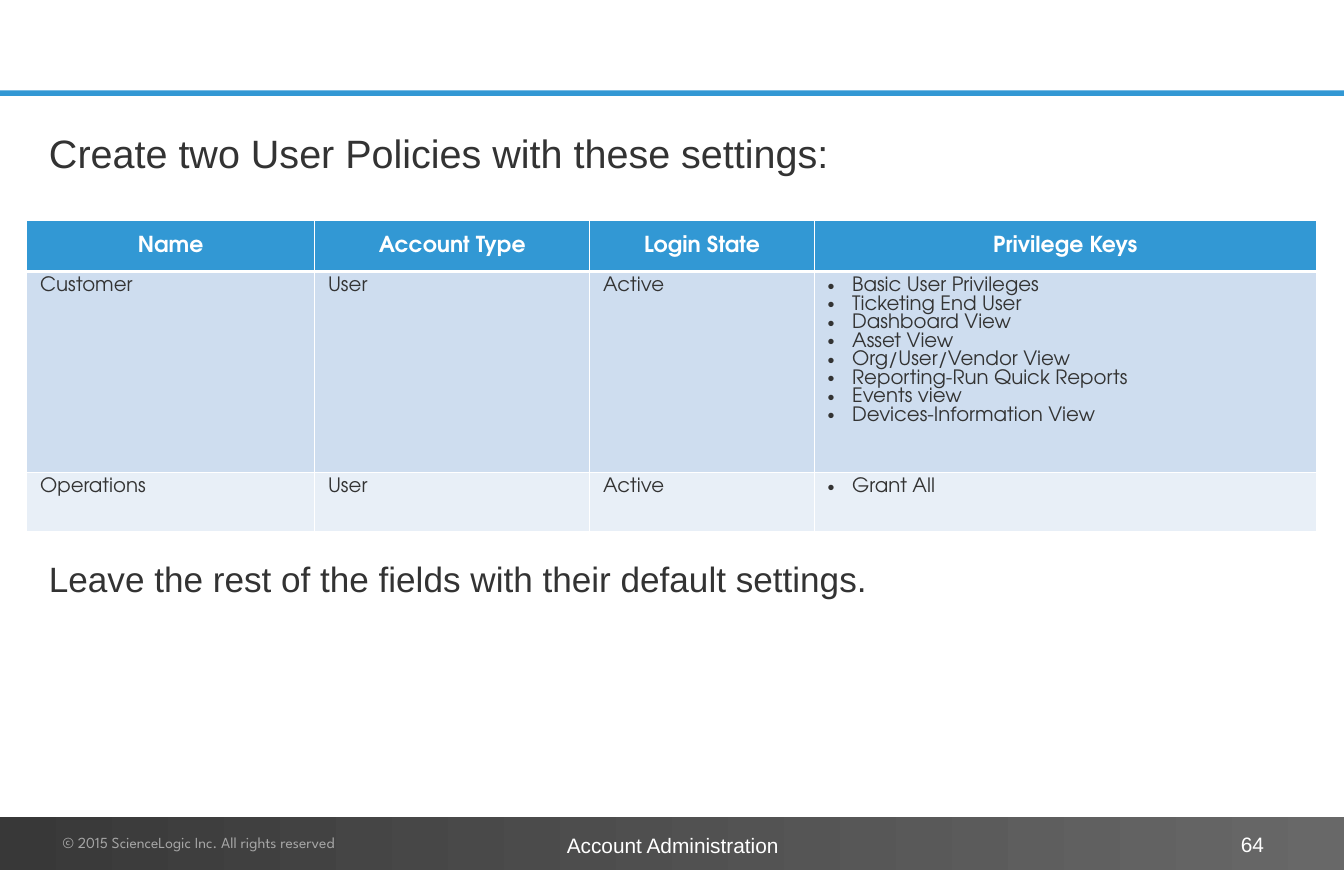
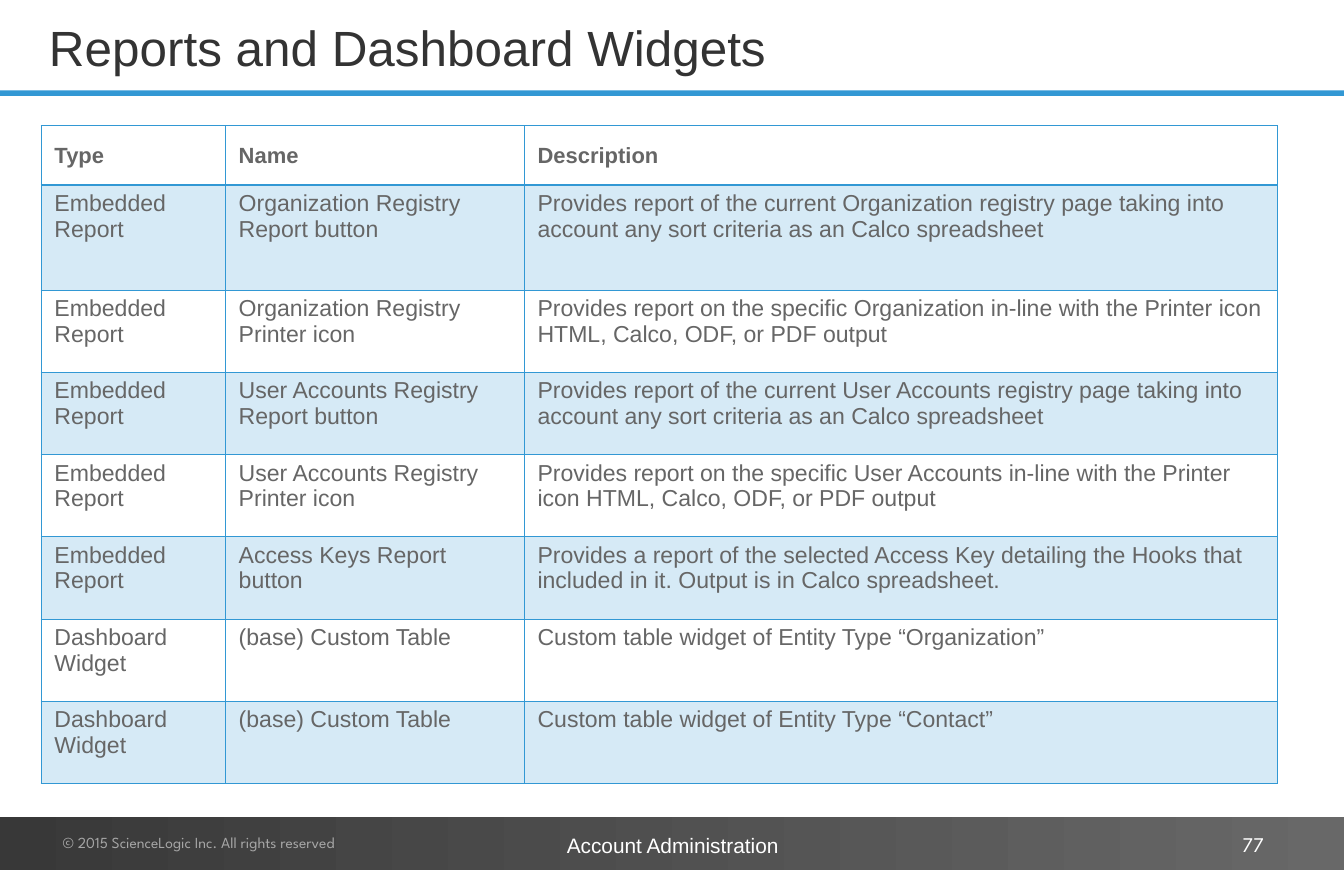
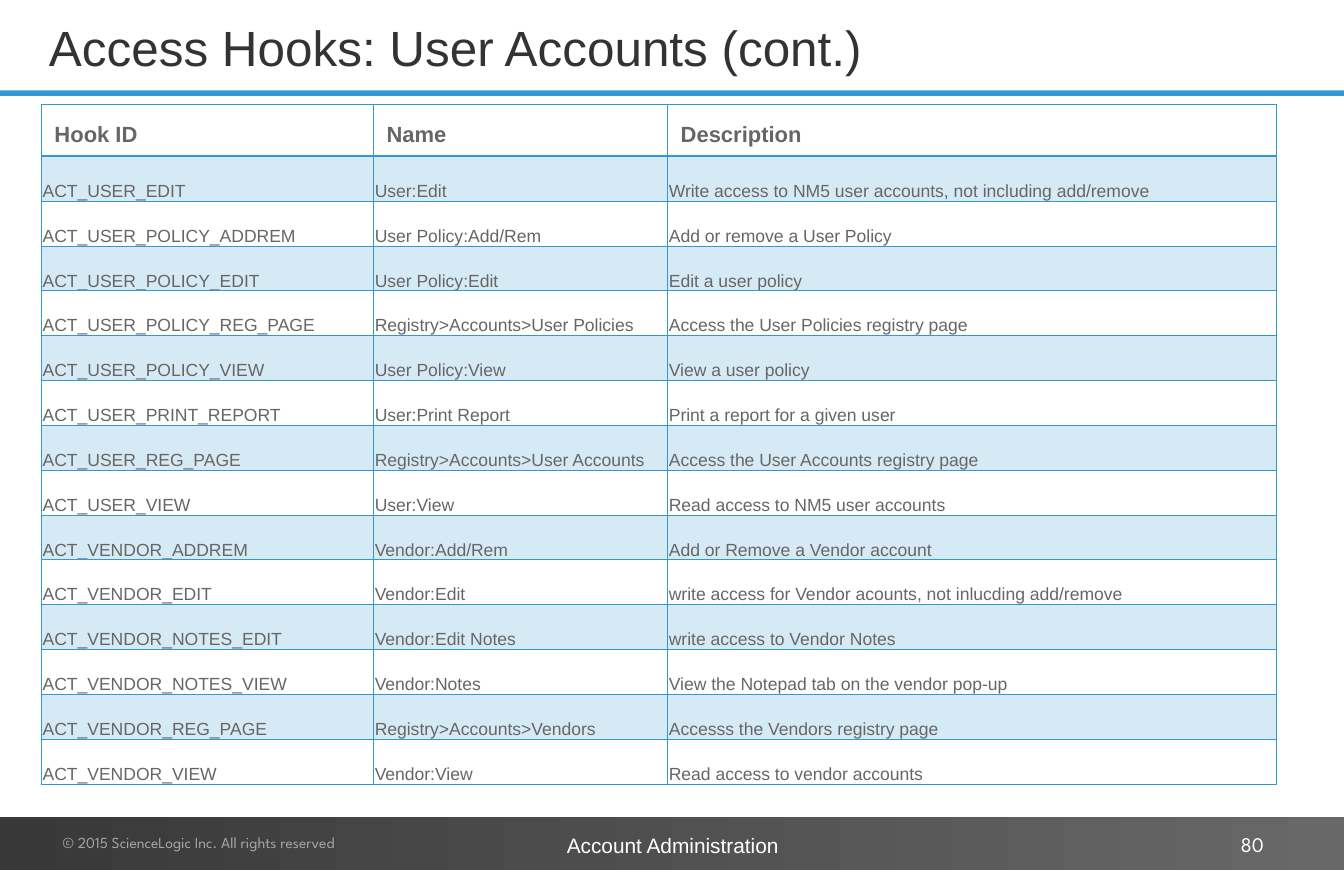
from lxml.etree import SubElement
from pptx import Presentation
from pptx.dml.color import RGBColor
from pptx.enum.shapes import MSO_SHAPE
from pptx.enum.text import MSO_ANCHOR, PP_ALIGN
from pptx.oxml import parse_xml
from pptx.oxml.ns import nsdecls, qn
from pptx.util import Cm, Pt

BLUE = RGBColor(0x32, 0x98, 0xD4)
DARK = RGBColor(0x33, 0x33, 0x33)
GRAY = RGBColor(0x66, 0x66, 0x66)
LIGHT_GRAY = RGBColor(0xA6, 0xA6, 0xA6)
WHITE = RGBColor(0xFF, 0xFF, 0xFF)
BAND_START = RGBColor(0x38, 0x38, 0x38)
BAND_END = RGBColor(0x68, 0x68, 0x68)
ROW_BLUE = RGBColor(0xCE, 0xDD, 0xEF)
ROW_PALE = RGBColor(0xE8, 0xEF, 0xF7)

ARIAL = "Arial"
SPARTAN = "League Spartan"
ADVENTOR = "TeX Gyre Adventor"

WIDTH, HEIGHT = Cm(43.18), Cm(27.94)
LEFT = Cm(1.32)
CELL_MARGINS = Cm(0.43), Cm(0.18), Cm(0.43), Cm(0.18)
TIGHT_MARGINS = Cm(0.05), Cm(0.05), Cm(0.05), Cm(0)
BOX_MARGINS = Cm(0.41), Cm(0.2), Cm(0.41), Cm(0.2)


def write(text_frame, text, size, font, color, bold=False, align=PP_ALIGN.LEFT,
          spacing=1.0, bullet=None, margins=None):
    """Fill a text frame; bullet is a character, or "" to switch bullets off."""
    text_frame.text = text
    text_frame.word_wrap = True
    if margins:
        (text_frame.margin_left, text_frame.margin_top,
         text_frame.margin_right, text_frame.margin_bottom) = margins
    for paragraph in text_frame.paragraphs:
        if bullet is not None:
            properties = paragraph._p.get_or_add_pPr()
            indent = Cm(0.79) if bullet else 0
            properties.set("marL", str(indent))
            properties.set("indent", str(-indent))
            if bullet:
                SubElement(properties, qn("a:buFont"), typeface=ARIAL)
                SubElement(properties, qn("a:buChar"), char=bullet)
            else:
                SubElement(properties, qn("a:buNone"))
        paragraph.alignment = align
        paragraph.line_spacing = spacing
        paragraph.space_before = Pt(0)
        for run in paragraph.runs:
            run.font.size = Pt(size)
            run.font.name = font
            run.font.bold = bold
            run.font.color.rgb = color


def add_grid(slide, left, top, widths, heights, rows, line_color, header_line,
             header_style, body_style, header_fill, row_fills, body_anchor=MSO_ANCHOR.TOP):
    """Add a table; row_fills alternate as (colour, opacity percent) or None."""
    table = slide.shapes.add_table(len(rows), len(widths), left, top,
                                   sum(widths), sum(heights)).table
    table.horz_banding = False
    for column, width in zip(table.columns, widths):
        column.width = width
    for row_index, row in enumerate(rows):
        table.rows[row_index].height = heights[row_index]
        header = row_index == 0
        fill = header_fill if header else row_fills[(row_index - 1) % len(row_fills)]
        for column_index, content in enumerate(row):
            cell = table.cell(row_index, column_index)
            style = dict(header_style if header else body_style)
            (cell.margin_left, cell.margin_top,
             cell.margin_right, cell.margin_bottom) = style.pop("cell_margins", CELL_MARGINS)
            cell.vertical_anchor = MSO_ANCHOR.TOP if header else body_anchor
            if isinstance(content, list):
                content = "\n".join(content)
                style["bullet"] = "•"
            write(cell.text_frame, content, **style)
            properties = cell._tc.get_or_add_tcPr()
            if fill:
                color, opacity = fill
                cell.fill.solid()
                cell.fill.fore_color.rgb = color
                if opacity < 100:
                    SubElement(properties.find(".//" + qn("a:srgbClr")), qn("a:alpha"),
                               val=str(opacity * 1000))
            else:
                cell.fill.background()
            for position, side in enumerate("LRTB"):
                heavy = (header and side == "B") or (row_index == 1 and side == "T")
                points = header_line if heavy else 1
                properties.insert(position, parse_xml(
                    f'<a:ln{side} {nsdecls("a")} w="{Pt(points)}"><a:solidFill>'
                    f'<a:srgbClr val="{line_color}"/></a:solidFill></a:ln{side}>'))


presentation = Presentation()
presentation.slide_width, presentation.slide_height = WIDTH, HEIGHT
content_layout, title_layout = presentation.slide_layouts[1], presentation.slide_layouts[5]

# Slides with their titles and footers
slides = []
for title, number, number_font in [
    (None, "64", ARIAL),
    ("Reports and Dashboard Widgets", "77", SPARTAN),
    ("Access Hooks: User Accounts (cont.)", "80", SPARTAN),
]:
    slide = presentation.slides.add_slide(title_layout if title else content_layout)
    slides.append(slide)
    title_shape = slide.shapes.title
    if title:
        title_shape.left, title_shape.top = LEFT, Cm(0.03)
        title_shape.width, title_shape.height = Cm(37.72), Cm(2.97)
        title_shape.text_frame.vertical_anchor = MSO_ANCHOR.MIDDLE
        write(title_shape.text_frame, title, 45, ARIAL, DARK)
    else:
        title_shape.element.getparent().remove(title_shape.element)
    section_box = slide.shapes.add_textbox(Cm(16.84), Cm(26.54), Cm(9.55), Cm(1.22))
    write(section_box.text_frame, "Account Administration", 19, ARIAL, WHITE,
          align=PP_ALIGN.CENTER, margins=BOX_MARGINS)
    number_box = slide.shapes.add_textbox(Cm(30.94), Cm(26.57), Cm(10.08), Cm(1.09))
    number_box.text_frame.vertical_anchor = MSO_ANCHOR.MIDDLE
    write(number_box.text_frame, number, 19, number_font, WHITE,
          align=PP_ALIGN.RIGHT, margins=BOX_MARGINS)

policy_slide, report_slide, hook_slide = slides

# Bands and copyright line, moved to the slide master
shapes = policy_slide.shapes
title_rule = shapes.add_shape(MSO_SHAPE.RECTANGLE, 0, Cm(2.9), WIDTH, Cm(0.18))
title_rule.fill.solid()
title_rule.fill.fore_color.rgb = BLUE
footer_band = shapes.add_shape(MSO_SHAPE.RECTANGLE, 0, Cm(26.24), WIDTH, Cm(1.7))
footer_band.fill.gradient()
footer_band.fill.gradient_angle = 0
for stop, color in zip(footer_band.fill.gradient_stops, (BAND_START, BAND_END)):
    stop.color.rgb = color
for band in (title_rule, footer_band):
    band.shadow.inherit = False
    band.line.fill.background()
copyright_box = shapes.add_textbox(Cm(1.6), Cm(26.57), Cm(12.7), Cm(1.02))
write(copyright_box.text_frame, "© 2015 ScienceLogic Inc. All rights reserved",
      14, SPARTAN, LIGHT_GRAY, margins=BOX_MARGINS)
master_tree = presentation.slide_master.shapes.element
for shape_id, shape in enumerate((title_rule, footer_band, copyright_box), start=101):
    shape.element.find(".//" + qn("p:cNvPr")).set("id", str(shape_id))
    master_tree.append(shape.element)

# User policies
body = policy_slide.placeholders[1]
body.left, body.top, body.width, body.height = LEFT, Cm(3.86), Cm(39.7), Cm(21.51)
write(body.text_frame, "Create two User Policies with these settings:",
      36, ARIAL, DARK, spacing=1.1, bullet="")

policies = [
    ("Name", "Account Type", "Login State", "Privilege Keys"),
    ("Customer", "User", "Active", [
        "Basic User Privileges", "Ticketing End User", "Dashboard View", "Asset View",
        "Org/User/Vendor View", "Reporting-Run Quick Reports", "Events view",
        "Devices-Information View"]),
    ("Operations", "User", "Active", ["Grant All"]),
]
add_grid(policy_slide, Cm(0.86), Cm(7.09),
         [Cm(9.25), Cm(8.84), Cm(7.21), Cm(16.13)], [Cm(1.45), Cm(6.32), Cm(1.88)],
         policies, WHITE, 3,
         dict(size=20, font=ADVENTOR, color=WHITE, bold=True, align=PP_ALIGN.CENTER, spacing=1.5),
         dict(size=18, font=ADVENTOR, color=DARK),
         (BLUE, 100), [(ROW_BLUE, 100), (ROW_PALE, 100)])

note = policy_slide.shapes.add_textbox(LEFT, Cm(17.65), Cm(40.34), Cm(5))
write(note.text_frame, "Leave the rest of the fields with their default settings.",
      32, ARIAL, DARK, spacing=1.1)

# Reports and widgets
header_style = dict(size=20, font=ARIAL, color=GRAY, bold=True, spacing=1.5)
striped = [(BLUE, 20), None]
reports = [
    ("Type", "Name", "Description"),
    ("Embedded Report", "Organization Registry Report button",
     "Provides report of the current Organization registry page taking into account "
     "any sort criteria as an Calco spreadsheet"),
    ("Embedded Report", "Organization Registry Printer icon",
     "Provides report on the specific Organization in-line with the Printer icon "
     "HTML, Calco, ODF, or PDF output"),
    ("Embedded Report", "User Accounts Registry Report button",
     "Provides report of the current User Accounts registry page taking into account "
     "any sort criteria as an Calco spreadsheet"),
    ("Embedded Report", "User Accounts Registry Printer icon",
     "Provides report on the specific User Accounts in-line with the Printer icon "
     "HTML, Calco, ODF, or PDF output"),
    ("Embedded Report", "Access Keys Report button",
     "Provides a report of the selected Access Key detailing the Hooks that included "
     "in it. Output is in Calco spreadsheet."),
    ("Dashboard Widget", "(base) Custom Table",
     "Custom table widget of Entity Type “Organization”"),
    ("Dashboard Widget", "(base) Custom Table",
     "Custom table widget of Entity Type “Contact”"),
]
add_grid(report_slide, LEFT, Cm(4.04), [Cm(5.92), Cm(9.6), Cm(24.2)],
         [Cm(1.9), Cm(3.38)] + [Cm(2.64)] * 6, reports, BLUE, 2,
         header_style, dict(size=21, font=ARIAL, color=GRAY), None, striped)

# Access hooks
hooks = [
    ("Hook ID", "Name", "Description"),
    ("ACT_USER_EDIT", "User:Edit", "Write access to NM5 user accounts, not including add/remove"),
    ("ACT_USER_POLICY_ADDREM", "User Policy:Add/Rem", "Add or remove a User Policy"),
    ("ACT_USER_POLICY_EDIT", "User Policy:Edit", "Edit a user policy"),
    ("ACT_USER_POLICY_REG_PAGE", "Registry>Accounts>User Policies",
     "Access the User Policies registry page"),
    ("ACT_USER_POLICY_VIEW", "User Policy:View", "View a user policy"),
    ("ACT_USER_PRINT_REPORT", "User:Print Report", "Print a report for a given user"),
    ("ACT_USER_REG_PAGE", "Registry>Accounts>User Accounts",
     "Access the User Accounts registry page"),
    ("ACT_USER_VIEW", "User:View", "Read access to NM5 user accounts"),
    ("ACT_VENDOR_ADDREM", "Vendor:Add/Rem", "Add or Remove a Vendor account"),
    ("ACT_VENDOR_EDIT", "Vendor:Edit", "write access for Vendor acounts, not inlucding add/remove"),
    ("ACT_VENDOR_NOTES_EDIT", "Vendor:Edit Notes", "write access to Vendor Notes"),
    ("ACT_VENDOR_NOTES_VIEW", "Vendor:Notes", "View the Notepad tab on the vendor pop-up"),
    ("ACT_VENDOR_REG_PAGE", "Registry>Accounts>Vendors", "Accesss the Vendors registry page"),
    ("ACT_VENDOR_VIEW", "Vendor:View", "Read access to vendor accounts"),
]
add_grid(hook_slide, LEFT, Cm(3.35), [Cm(10.67), Cm(9.45), Cm(19.58)],
         [Cm(1.67)] + [Cm(1.44)] * 14, hooks, BLUE, 2, header_style,
         dict(size=16, font=ARIAL, color=GRAY, cell_margins=TIGHT_MARGINS),
         None, striped, MSO_ANCHOR.BOTTOM)

presentation.save("out.pptx")
